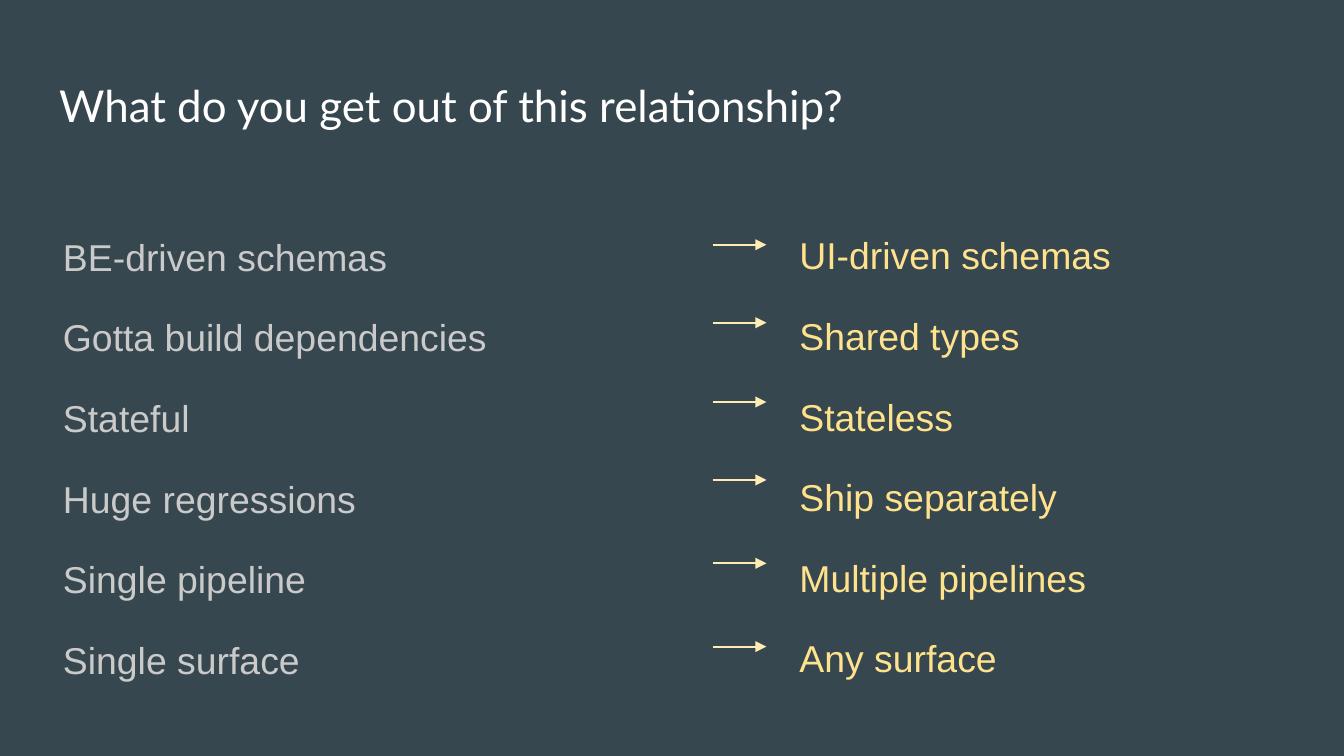
from dataclasses import dataclass

from lxml.etree import SubElement
from pptx import Presentation
from pptx.dml.color import RGBColor
from pptx.enum.shapes import MSO_CONNECTOR
from pptx.oxml.ns import qn
from pptx.util import Inches, Pt


@dataclass(frozen=True)
class Theme:
    ground: str = "37474F"
    title: str = "FFFFFF"
    before: str = "CACACA"
    after: str = "FFE28C"
    arrow: str = "FFECB2"
    head: str = "Lato"
    body: str = "Arial"
    large: float = 23.5
    small: float = 20
    rule: float = 1


THEME = Theme()
WIDE = Inches(10)
HIGH = WIDE * 9 // 16

TITLE = "What do you get out of this relationship?"
PAIRS = [
    ("BE-driven schemas", "UI-driven schemas"),
    ("Gotta build dependencies", "Shared types"),
    ("Stateful", "Stateless"),
    ("Huge regressions", "Ship separately"),
    ("Single pipeline", "Multiple pipelines"),
    ("Single surface", "Any surface"),
]

# Left, top, width and height as percentages of the slide.
TITLE_BOX = (3.41, 8.65, 93.2, 11.2)
BEFORE_BOX = (3.7, 27.38, 47.8, 74.31)
AFTER_BOX = (58.5, 27.2, 53.7, 74.67)
ARROW_BOX = (53.03, 32.38, 4, 53.16)
# Arrow heights as percentages of the arrow box.
STEPS = (0, 19.4, 39.13, 58.53, 79.26, 100)


def scale(box):
    """Turn a box of percentages into slide lengths."""
    return [round(size * part / 100)
            for size, part in zip((WIDE, HIGH, WIDE, HIGH), box)]


def add_text(slide, box, lines, face, size, color, **format):
    """Write one paragraph per line, with the given paragraph format."""
    frame = slide.shapes.add_textbox(*scale(box)).text_frame
    frame.word_wrap = True
    for side in ("left", "top", "right", "bottom"):
        setattr(frame, f"margin_{side}", Inches(0.1))
    frame.text = "\n".join(lines)
    for para in frame.paragraphs:
        for name, value in format.items():
            setattr(para, name, value)
        font = para.runs[0].font
        for name, value in {"name": face, "size": Pt(size)}.items():
            setattr(font, name, value)
        font.color.rgb = RGBColor.from_string(color)


def add_title(slide, box):
    add_text(slide, box, [TITLE], THEME.head, THEME.large, THEME.title)


def add_list(slide, box, lines, color):
    add_text(slide, box, lines, THEME.body, THEME.small, color,
             line_spacing=1.3, space_before=Pt(12))


def add_arrows(slide, box):
    left, top, width, height = scale(box)
    for step in STEPS:
        y = top + round(height * step / 100)
        arrow = slide.shapes.add_connector(
            MSO_CONNECTOR.STRAIGHT, left, y, left + width, y)
        arrow.line.color.rgb = RGBColor.from_string(THEME.arrow)
        arrow.line.width = Pt(THEME.rule)
        props = arrow._element.spPr
        SubElement(props.find(qn("a:ln")), qn("a:tailEnd"), type="triangle")
        SubElement(props, qn("a:effectLst"))


def main():
    deck = Presentation()
    deck.slide_width, deck.slide_height = WIDE, HIGH
    slide = deck.slides.add_slide(deck.slide_layouts[6])
    fill = slide.background.fill
    fill.solid()
    fill.fore_color.rgb = RGBColor.from_string(THEME.ground)

    before, after = zip(*PAIRS)
    add_title(slide, TITLE_BOX)
    add_list(slide, BEFORE_BOX, before, THEME.before)
    add_list(slide, AFTER_BOX, after, THEME.after)
    add_arrows(slide, ARROW_BOX)
    deck.save("out.pptx")


if __name__ == "__main__":
    main()
